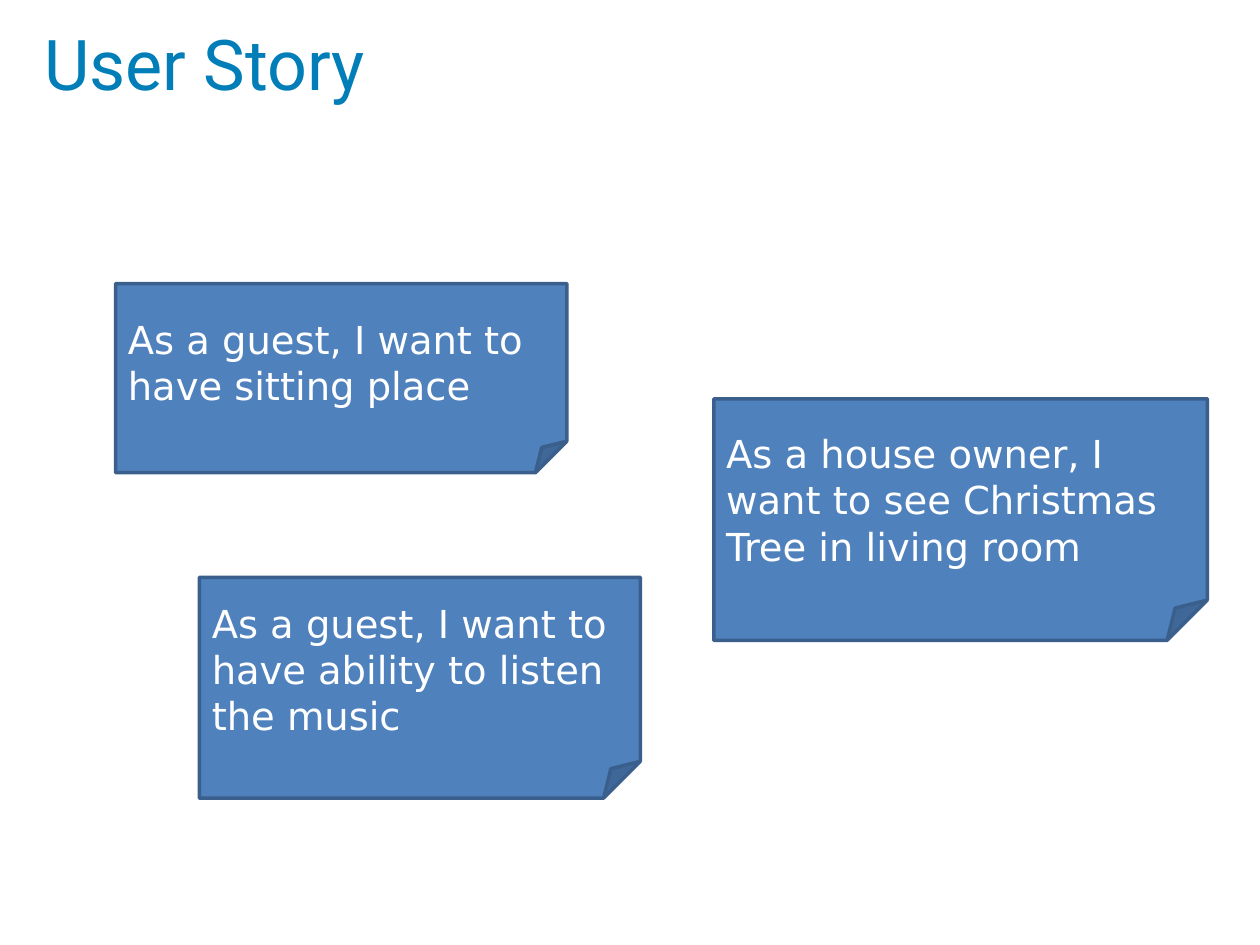
from dataclasses import dataclass

import pptx
import pptx.dml.color
import pptx.enum.shapes
import pptx.enum.text
import pptx.util
from pptx.util import Cm

COLOURS = {"title": "017EB8", "note": "4F81BD", "border": "3A5F8C", "note_text": "FFFFFF"}


@dataclass
class Story:
    text: str
    left: float
    top: float
    width: float
    height: float


STORIES = [
    Story("As a guest, I want to have ability to listen the music", 4.02, 11.64, 8.89, 4.45),
    Story("As a house owner, I want to see Christmas Tree in living room", 14.39, 8.04, 9.95, 4.87),
    Story("As a guest, I want to have sitting place", 2.33, 5.72, 9.1, 3.81),
]


def colour(name: str) -> pptx.dml.color.RGBColor:
    return pptx.dml.color.RGBColor.from_string(COLOURS[name])


def write_text(shape: pptx.shapes.autoshape.Shape, text: str, font: str, size: int, colour_name: str) -> None:
    """Set one left-aligned paragraph, centred vertically in the shape."""
    frame = shape.text_frame
    frame.text = text
    frame.word_wrap = True
    frame.vertical_anchor = pptx.enum.text.MSO_ANCHOR.MIDDLE
    para = frame.paragraphs[0]
    para.alignment = pptx.enum.text.PP_ALIGN.LEFT
    span = para.runs[0]
    span.font.name = font
    span.font.size = pptx.util.Pt(size)
    span.font.color.rgb = colour(colour_name)


def draw_title(page: pptx.slide.Slide, text: str) -> None:
    box = page.shapes.add_textbox(Cm(0.64), Cm(0), Cm(22.86), Cm(2.54))
    write_text(box, text, "Roboto", 40, "title")


def draw_story(page: pptx.slide.Slide, story: Story) -> None:
    note = page.shapes.add_shape(
        pptx.enum.shapes.MSO_SHAPE.FOLDED_CORNER,
        Cm(story.left), Cm(story.top), Cm(story.width), Cm(story.height),
    )
    note.shadow.inherit = False
    note.fill.solid()
    note.fill.fore_color.rgb = colour("note")
    note.line.color.rgb = colour("border")
    note.line.width = pptx.util.Pt(2)
    write_text(note, story.text, "DejaVu Sans", 22, "note_text")


def main() -> None:
    deck = pptx.Presentation()
    deck.slide_width, deck.slide_height = Cm(25.4), Cm(19.05)
    page = deck.slides.add_slide(deck.slide_layouts[6])
    for story in STORIES:
        draw_story(page, story)
    draw_title(page, "User Story")
    deck.save("out.pptx")


if __name__ == "__main__":
    main()
